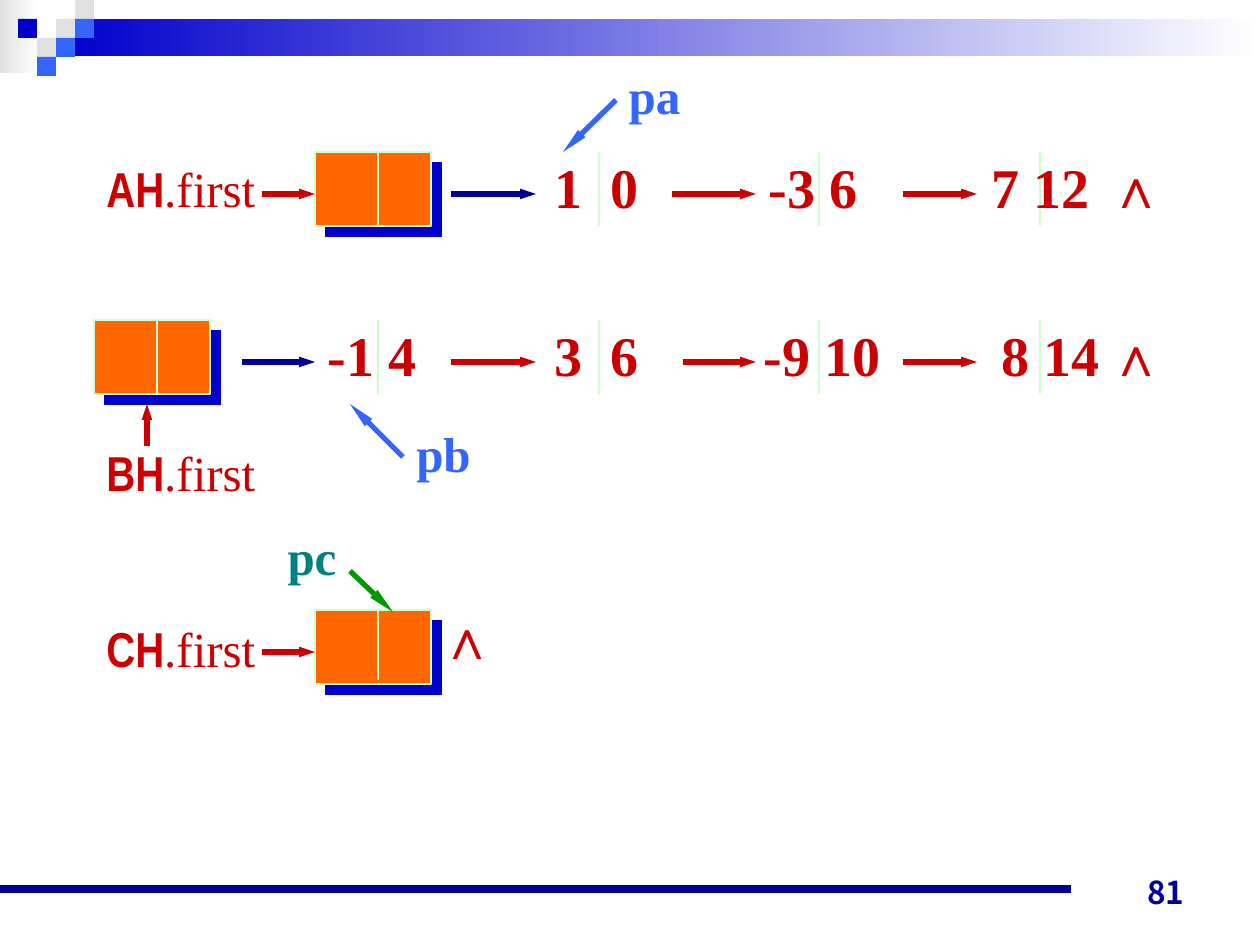
"""Build the slide showing polynomial addition with linked lists."""
import pptx
import pptx.dml.color
import pptx.enum.shapes
import pptx.enum.text
import pptx.oxml
import pptx.oxml.ns
import pptx.util

COLORS = {
    "gray": "E1E1E1", "white": "FFFFFF", "blue": "0000CC", "sky": "3366FF",
    "navy": "000099", "mint": "CCFFCC", "orange": "FF6600", "red": "CC0000",
    "green": "009900", "teal": "008080",
}
SCALE = 914400 / 126
SERIF = "Times New Roman"
ALIGN = pptx.enum.text.PP_ALIGN
ANCHOR = pptx.enum.text.MSO_ANCHOR
FIT = pptx.enum.text.MSO_AUTO_SIZE


def px(n):
    """Turn pixels into EMU."""
    return pptx.util.Emu(round(n * SCALE))


def rgb(name):
    """Look up a named colour."""
    return pptx.dml.color.RGBColor.from_string(COLORS[name])


def xml(tag, attrs="", inner=""):
    """Parse one DrawingML element."""
    ns = pptx.oxml.ns.nsdecls("a")
    return pptx.oxml.parse_xml(f"<a:{tag} {ns} {attrs}>{inner}</a:{tag}>")


class Board:
    """Hold the style and the current slide."""

    def __init__(self, s):
        """Keep the slide to draw on."""
        self.s = s

    def rect(self, x, y, w, h, color):
        """Add a plain filled rectangle."""
        sp = self.s.shapes.add_shape(
            pptx.enum.shapes.MSO_SHAPE.RECTANGLE, px(x), px(y), px(w), px(h))
        sp.shadow.inherit = False
        sp.fill.solid()
        sp.fill.fore_color.rgb = rgb(color)
        sp.line.fill.background()
        return sp

    def fade(self, x, y, w, h, color):
        """Add a rectangle that fades to white on the right."""
        fill = self.rect(x, y, w, h, color).fill
        fill.gradient()
        fill.gradient_angle = 0
        for stop, name in zip(fill.gradient_stops, (color, "white")):
            stop.color.rgb = rgb(name)

    def line(self, x1, y1, x2, y2, color, width):
        """Add a straight line."""
        c = self.s.shapes.add_connector(
            pptx.enum.shapes.MSO_CONNECTOR.STRAIGHT, px(x1), px(y1), px(x2), px(y2))
        c.line.color.rgb = rgb(color)
        c.line.width = pptx.util.Pt(width)
        c._element.spPr.append(xml("effectLst"))
        return c

    def arrow(self, x1, y1, x2, y2, color, length="med"):
        """Add a line with a narrow arrowhead at its end."""
        ln = self.line(x1, y1, x2, y2, color, 3).line._get_or_add_ln()
        ln.append(xml("tailEnd", f'type="triangle" w="sm" len="{length}"'))

    def divider(self, x, y, h=74):
        """Add the thin line between the two fields of a node."""
        self.line(x, y, x, y + h, "mint", 0.75)

    def head(self, x, y, h=74):
        """Add a head node with a hard shadow."""
        sp = self.rect(x, y, 116, 74, "orange")
        sp.line.color.rgb = rgb("mint")
        sp.line.width = pptx.util.Pt(0.75)
        effects = sp._element.spPr.find(pptx.oxml.ns.qn("a:effectLst"))
        effects.append(xml(
            "outerShdw", 'blurRad="0" dist="107950" dir="2700000" algn="ctr" rotWithShape="0"',
            f'<a:srgbClr val="{COLORS["blue"]}"/>'))
        self.divider(x + 63, y, h)

    def text(self, x, y, w, h, runs, size, color, align=ALIGN.LEFT, anchor=ANCHOR.TOP,
             tab=0, grow=True):
        """Add one line of text from (text, font, bold) runs."""
        tf = self.s.shapes.add_textbox(px(x), px(y), px(w), px(h)).text_frame
        tf.word_wrap = not grow
        tf.auto_size = FIT.SHAPE_TO_FIT_TEXT if grow else FIT.NONE
        tf.vertical_anchor = anchor
        p = tf.paragraphs[0]
        p.alignment = align
        if tab:
            stop = f'<a:tab pos="{px(tab)}" algn="l"/>'
            p._p.get_or_add_pPr().append(xml("tabLst", "", stop))
        for words, font, bold in runs:
            r = p.add_run()
            r.text = words
            r.font.name = font
            r.font.bold = bold
            r.font.size = pptx.util.Pt(size)
            r.font.color.rgb = rgb(color)

    def label(self, y, name):
        """Add the name of a list head."""
        runs = [(name, "Arial Narrow", True), (".first", SERIF, False)]
        self.text(94, y, 175, 72, runs, 28, "red")

    def value(self, x, y, w, words):
        """Add the contents of a node."""
        tab = 56 if "\t" in words else 0
        self.text(x, y, w, 79, [(words, SERIF, True)], 32, "red", tab=tab)

    def pointer(self, x, y, w, name, color):
        """Add the name of a moving pointer."""
        self.text(x, y, w, 72, [(name, SERIF, True)], 28, color, ALIGN.CENTER, ANCHOR.MIDDLE)


def main():
    """Draw the slide and save it."""
    prs = pptx.Presentation()
    prs.slide_width, prs.slide_height = px(1260), px(945)
    board = Board(prs.slides.add_slide(prs.slide_layouts[6]))

    board.fade(0, 0, 39, 73, "gray")
    board.fade(57, 19, 1203, 37, "blue")
    for col, row, color in [
        (2, 1, "gray"), (3, 0, "gray"), (3, 1, "sky"), (1, 2, "gray"),
        (0, 1, "blue"), (2, 2, "sky"), (1, 3, "sky"),
    ]:
        board.rect(19 * col + 18, 19 * row, 19, 19, color)
    board.line(0, 889, 1071, 889, "navy", 4.5)
    board.text(903, 854, 294, 63, [("81", "Noto Sans CJK JP", True)], 18, "navy",
               ALIGN.RIGHT, ANCHOR.BOTTOM, grow=False)

    row_a, row_b, row_c = 152, 320, 610
    board.head(315, row_a)
    board.head(94, row_b)
    board.head(315, row_c, 70)
    board.divider(378, row_b)
    for x in (599, 819, 1040):
        for y in (row_a, row_b):
            board.divider(x, y)

    for y, name in [(152, "AH"), (436, "BH"), (612, "CH")]:
        board.label(y, name)
    for y, nodes in [
        (row_a, [(542, 110, "1\t0"), (756, 116, "-3 6"), (979, 124, "7 12")]),
        (row_b, [(315, 116, "-1 4"), (542, 110, "3\t6"), (751, 142, "-9 10"), (989, 124, "8 14")]),
    ]:
        for x, w, words in nodes + [(1096, 59, "∧")]:
            board.value(x, y - 6, w, words)
    board.value(427, row_c - 13, 59, "∧")

    for y, links in [
        (row_a, [(262, 315, "red"), (451, 536, "navy"), (672, 756, "red"), (903, 977, "red")]),
        (row_b, [(242, 315, "navy"), (451, 536, "red"), (683, 756, "red"), (903, 977, "red")]),
        (row_c, [(262, 315, "red")]),
    ]:
        for x1, x2, color in links:
            board.arrow(x1, y + 42, x2, y + 42, color)
    board.arrow(147, 446, 147, 404, "red")

    board.arrow(616, 100, 563, 152, "sky", "lg")
    board.arrow(403, 457, 350, 404, "sky", "lg")
    board.arrow(350, 571, 393, 612, "green", "lg")
    board.pointer(616, 59, 77, "pa", "sky")
    board.pointer(403, 417, 81, "pb", "sky")
    board.pointer(275, 520, 74, "pc", "teal")
    prs.save("out.pptx")


if __name__ == "__main__":
    main()
